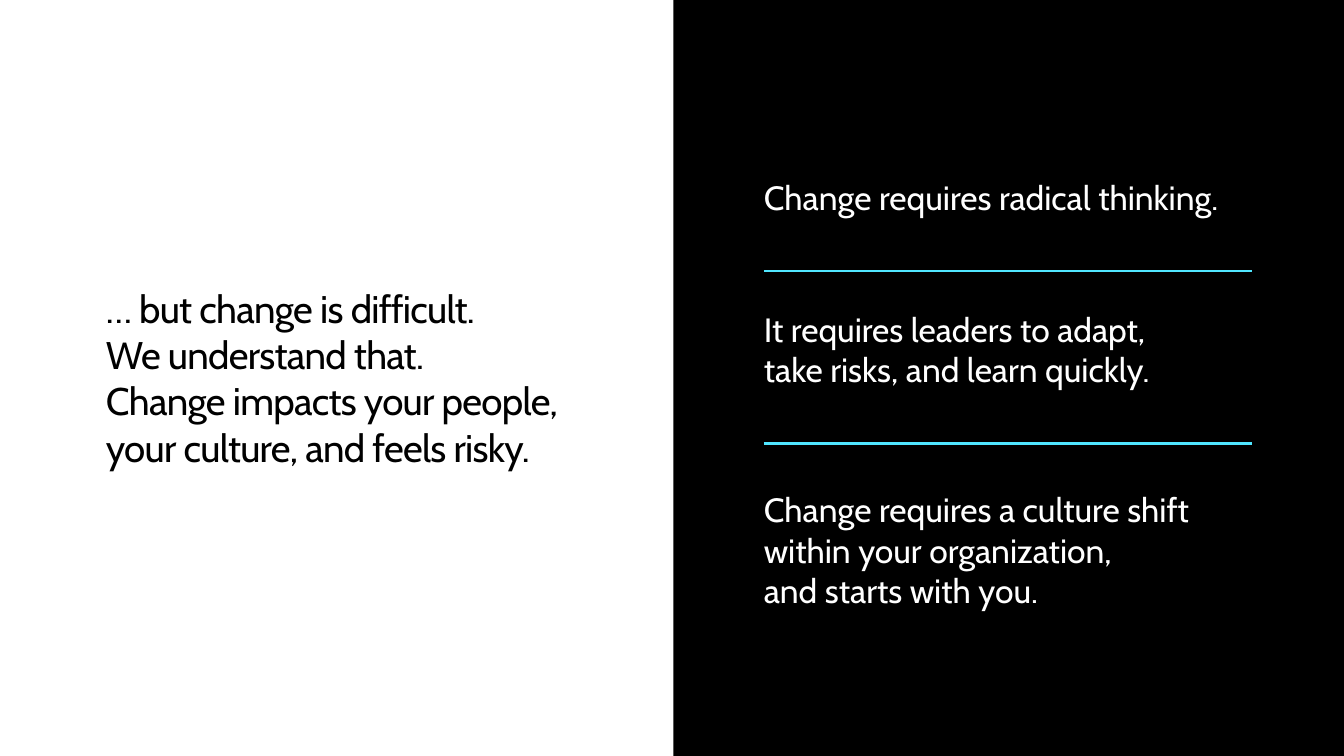
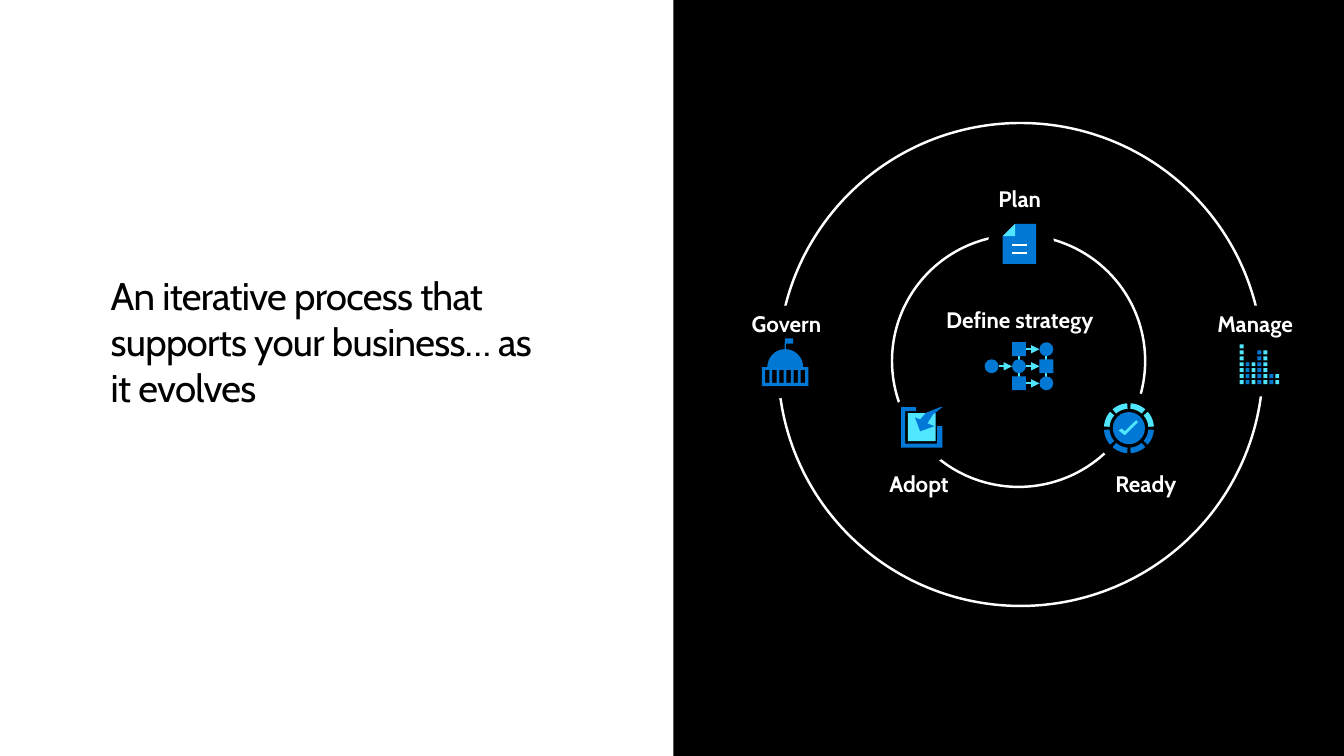
"""Build two split-panel slides about change and an iterative adoption process."""
import math
from dataclasses import dataclass

import pptx
import pptx.dml.color
import pptx.enum.shapes
import pptx.enum.text
import pptx.oxml.xmlchemy
import pptx.presentation
import pptx.shapes.autoshape
import pptx.slide
import pptx.util

Cm = pptx.util.Cm
RGBColor = pptx.dml.color.RGBColor
OxmlElement = pptx.oxml.xmlchemy.OxmlElement
MSO_SHAPE = pptx.enum.shapes.MSO_SHAPE
PP_ALIGN = pptx.enum.text.PP_ALIGN
Point = tuple[float, float]

BLACK = RGBColor(0x00, 0x00, 0x00)
WHITE = RGBColor(0xFF, 0xFF, 0xFF)
CYAN = RGBColor(0x50, 0xE6, 0xFF)
BLUE = RGBColor(0x00, 0x78, 0xD4)
ARROW_BLUE = RGBColor(0x00, 0x78, 0xD7)
FONT = "Cabin"
SLIDE_W, SLIDE_H = 33.87, 19.05
PANEL_X = 16.97


@dataclass(frozen=True)
class Box:
    """A rectangle in centimetres."""
    x: float
    y: float
    w: float
    h: float


@dataclass(frozen=True)
class TextStyle:
    """Look of the text in one box."""
    size: float
    color: RGBColor
    bold: bool = False
    align: PP_ALIGN = PP_ALIGN.LEFT
    tracking: int = 0


@dataclass(frozen=True)
class Statement:
    """Lines of panel text and where they stand."""
    lines: tuple[str, ...]
    box: Box


@dataclass(frozen=True)
class Label:
    """A caption centred on an icon."""
    text: str
    center: float
    top: float
    width: float


TITLE = TextStyle(27.5, BLACK, tracking=-50)
STATEMENT = TextStyle(24, WHITE)
LABEL = TextStyle(16, WHITE, bold=True, align=PP_ALIGN.CENTER)

STATEMENTS = (
    Statement(("Change requires radical thinking.",), Box(19.25, 4.45, 13.46, 1.02)),
    Statement(("It requires leaders to adapt,", "take risks, and learn quickly."),
              Box(19.25, 7.77, 12.29, 2.06)),
    Statement(("Change requires a culture shift", "within your organization,", "and starts with you."),
              Box(19.25, 12.32, 11.94, 3.07)),
)
RINGS = (Box(19.61, 3.1, 12.22, 12.17), Box(22.48, 5.92, 6.38, 6.35))
RING_GAPS = (
    Box(22.35, 9.91, 1.83, 1.78),
    Box(24.89, 5.38, 1.68, 1.65),
    Box(27.56, 9.88, 1.83, 1.8),
    Box(30.56, 7.7, 2.31, 2.29),
    Box(18.67, 7.7, 2.26, 2.34),
)
LABELS = (
    Label("Define strategy", 25.7, 7.7, 3.96),
    Label("Plan", 25.7, 4.67, 1.3),
    Label("Adopt", 23.16, 11.84, 1.8),
    Label("Ready", 28.88, 11.84, 1.8),
    Label("Manage", 31.63, 7.82, 2.2),
    Label("Govern", 19.82, 7.82, 2),
)


def paint(sp: pptx.shapes.autoshape.Shape, color: RGBColor) -> None:
    """Give a shape a plain fill without outline or shadow."""
    sp.shadow.inherit = False
    sp.fill.solid()
    sp.fill.fore_color.rgb = color
    sp.line.fill.background()


def add_shape(s: pptx.slide.Slide, kind: MSO_SHAPE, box: Box, color: RGBColor) -> None:
    """Draw a filled preset shape."""
    paint(s.shapes.add_shape(kind, Cm(box.x), Cm(box.y), Cm(box.w), Cm(box.h)), color)


def add_ring(s: pptx.slide.Slide, box: Box) -> None:
    """Draw an unfilled white circle."""
    sp = s.shapes.add_shape(MSO_SHAPE.OVAL, Cm(box.x), Cm(box.y), Cm(box.w), Cm(box.h))
    sp.shadow.inherit = False
    sp.fill.background()
    sp.line.color.rgb = WHITE
    sp.line.width = pptx.util.Pt(1.75)


def add_outline(s: pptx.slide.Slide, color: RGBColor, *contours: list[Point]) -> None:
    """Draw a filled polygon; contours after the first are holes."""
    points = [[(Cm(x), Cm(y)) for x, y in contour] for contour in contours]
    builder = s.shapes.build_freeform(*points[0][0])
    builder.add_line_segments(points[0][1:])
    for hole in points[1:]:
        builder.move_to(*hole[0])
        builder.add_line_segments(hole[1:])
    paint(builder.convert_to_shape(), color)


def add_line(s: pptx.slide.Slide, start: Point, end: Point, color: RGBColor,
             width: float, arrow: bool = False) -> None:
    """Draw a straight line, optionally with an arrowhead at its end."""
    cx = s.shapes.add_connector(pptx.enum.shapes.MSO_CONNECTOR.STRAIGHT,
                                *(Cm(v) for v in (*start, *end)))
    cx.line.color.rgb = color
    cx.line.width = pptx.util.Pt(width)
    if arrow:
        head = OxmlElement("a:tailEnd")
        head.set("type", "triangle")
        cx.line._get_or_add_ln().append(head)
    cx._element.spPr.append(OxmlElement("a:effectLst"))


def add_text(s: pptx.slide.Slide, lines: tuple[str, ...], box: Box, style: TextStyle) -> None:
    """Place one paragraph per line in a box without insets."""
    tf = s.shapes.add_textbox(Cm(box.x), Cm(box.y), Cm(box.w), Cm(box.h)).text_frame
    tf.margin_left = tf.margin_right = tf.margin_top = tf.margin_bottom = 0
    tf.word_wrap = True
    tf.vertical_anchor = pptx.enum.text.MSO_ANCHOR.MIDDLE
    tf.text = "\n".join(lines)
    for p in tf.paragraphs:
        p.alignment = style.align
        for r in p.runs:
            r.font.name = FONT
            r.font.size = pptx.util.Pt(style.size)
            r.font.bold = style.bold
            r.font.color.rgb = style.color
            if style.tracking:
                r._r.get_or_add_rPr().set("spc", str(style.tracking))


def arc(cx: float, cy: float, radius: float, start: float, end: float) -> list[Point]:
    """Return points along an arc, angles in degrees clockwise from the right."""
    steps = 12
    angles = [math.radians(start + (end - start) * i / steps) for i in range(steps + 1)]
    return [(cx + radius * math.cos(a), cy + radius * math.sin(a)) for a in angles]


def add_split_slide(prs: pptx.presentation.Presentation, title: tuple[str, ...],
                    box: Box) -> pptx.slide.Slide:
    """Add a slide with a title at left and a black panel at right."""
    s = prs.slides.add_slide(prs.slide_layouts[6])
    add_shape(s, MSO_SHAPE.RECTANGLE, Box(PANEL_X, 0, SLIDE_W - PANEL_X, SLIDE_H), BLACK)
    add_text(s, title, box, TITLE)
    return s


def draw_strategy_icon(s: pptx.slide.Slide) -> None:
    """Draw the flow chart of linked nodes."""
    xs, ys, size = (24.99, 25.68, 26.37), (8.8, 9.23, 9.66), 0.35
    for x in xs[1:]:
        add_line(s, (x, ys[0]), (x, ys[2]), CYAN, 1.4)
    for col, row in ((0, 1), (1, 0), (1, 1), (1, 2)):
        add_line(s, (xs[col] + size / 2, ys[row]), (xs[col + 1] - size / 2, ys[row]), CYAN, 1.4, True)
    circles = ((0, 1), (1, 1), (2, 0), (2, 2))
    squares = ((1, 0), (1, 2), (2, 1))
    for kind, nodes in ((MSO_SHAPE.OVAL, circles), (MSO_SHAPE.RECTANGLE, squares)):
        for col, row in nodes:
            add_shape(s, kind, Box(xs[col] - size / 2, ys[row] - size / 2, size, size), BLUE)


def draw_plan_icon(s: pptx.slide.Slide) -> None:
    """Draw the page with a folded corner."""
    add_outline(s, BLUE, [(25.58, 5.64), (25.27, 5.95), (25.27, 6.65), (26.11, 6.65), (26.11, 5.64)])
    add_outline(s, CYAN, [(25.58, 5.95), (25.27, 5.95), (25.58, 5.64)])
    for y in (6.17, 6.38):
        add_line(s, (25.5, y), (25.88, y), WHITE, 1.38)


def draw_ready_icon(s: pptx.slide.Slide) -> None:
    """Draw the tick inside a ring of eight segments."""
    cx, cy, disc, gap = 28.45, 10.79, 0.81, 4
    for i in range(8):
        start, end = 45 * i + gap, 45 * (i + 1) - gap
        segment = arc(cx, cy, 0.63, start, end) + arc(cx, cy, 0.49, end, start)
        add_outline(s, BLUE if i < 4 else CYAN, segment)
    add_shape(s, MSO_SHAPE.OVAL, Box(cx - disc / 2, cy - disc / 2, disc, disc), BLUE)
    add_outline(s, CYAN, [(28.68, 10.64), (28.63, 10.59), (28.35, 10.87),
                          (28.27, 10.8), (28.19, 10.85), (28.35, 10.97)])


def draw_manage_icon(s: pptx.slide.Slide) -> None:
    """Draw the columns of stacked squares."""
    step, size = 0.15, 0.1
    for col, height in enumerate((7, 4, 4, 6, 6, 2, 2)):
        for row in range(height):
            box = Box(31.24 + step * col, 9.58 - step * row, size, size)
            add_shape(s, MSO_SHAPE.RECTANGLE, box, BLUE if col % 2 else CYAN)


def draw_govern_icon(s: pptx.slide.Slide) -> None:
    """Draw the domed building with a flag."""
    cx, base, radius = 19.79, 9.25, 0.45
    outline = [(19.2, 9.73), (19.2, base), *arc(cx, base, radius, 180, 268),
               (19.78, 8.53), (19.99, 8.53), (19.99, 8.66), (19.81, 8.66),
               *arc(cx, base, radius, 272, 360), (20.37, base), (20.37, 9.73)]
    lefts = [19.28 + 0.18 * i for i in range(6)]
    windows = [[(x, 9.32), (x, 9.65), (x + 0.11, 9.65), (x + 0.11, 9.32)] for x in lefts]
    add_outline(s, BLUE, outline, *windows)


def draw_adopt_icon(s: pptx.slide.Slide) -> None:
    """Draw the arrow entering a framed square."""
    add_shape(s, MSO_SHAPE.RECTANGLE, Box(22.88, 10.41, 0.7, 0.71), CYAN)
    add_outline(s, ARROW_BLUE, [(23.62, 10.74), (23.62, 11.18), (22.81, 11.18), (22.81, 10.36),
                                (23.09, 10.36), (23.09, 10.26), (22.71, 10.26), (22.71, 11.28),
                                (23.75, 11.28), (23.75, 10.74)])
    add_outline(s, ARROW_BLUE, [(23.75, 10.26), (23.7, 10.26), (23.34, 10.4), (23.19, 10.57),
                                (23.06, 10.52), (23.19, 10.87), (23.55, 10.74), (23.37, 10.67),
                                (23.51, 10.45)])


def build_change_slide(prs: pptx.presentation.Presentation) -> None:
    """Build the slide on what change requires."""
    title = ("… but change is difficult.", "We understand that.",
             "Change impacts your people, your culture, and feels risky.")
    s = add_split_slide(prs, title, Box(2.67, 7.16, 13, 4.7))
    for statement in STATEMENTS:
        add_text(s, statement.lines, statement.box, STATEMENT)
    for y in (6.83, 11.18):
        add_line(s, (19.25, y), (31.55, y), CYAN, 2)


def build_process_slide(prs: pptx.presentation.Presentation) -> None:
    """Build the slide with the iterative process rings."""
    title = ("An iterative process that supports your business… as it evolves",)
    s = add_split_slide(prs, title, Box(2.79, 6.83, 10.8, 3.53))
    for ring in RINGS:
        add_ring(s, ring)
    for gap in RING_GAPS:
        add_shape(s, MSO_SHAPE.OVAL, gap, BLACK)
    for draw in (draw_strategy_icon, draw_plan_icon, draw_ready_icon,
                 draw_manage_icon, draw_govern_icon, draw_adopt_icon):
        draw(s)
    for label in LABELS:
        box = Box(label.center - label.width / 2, label.top, label.width, 0.69)
        add_text(s, (label.text,), box, LABEL)


def main() -> None:
    """Create and save the presentation."""
    prs = pptx.Presentation()
    prs.slide_width, prs.slide_height = Cm(SLIDE_W), Cm(SLIDE_H)
    build_change_slide(prs)
    build_process_slide(prs)
    prs.save("out.pptx")


if __name__ == "__main__":
    main()
